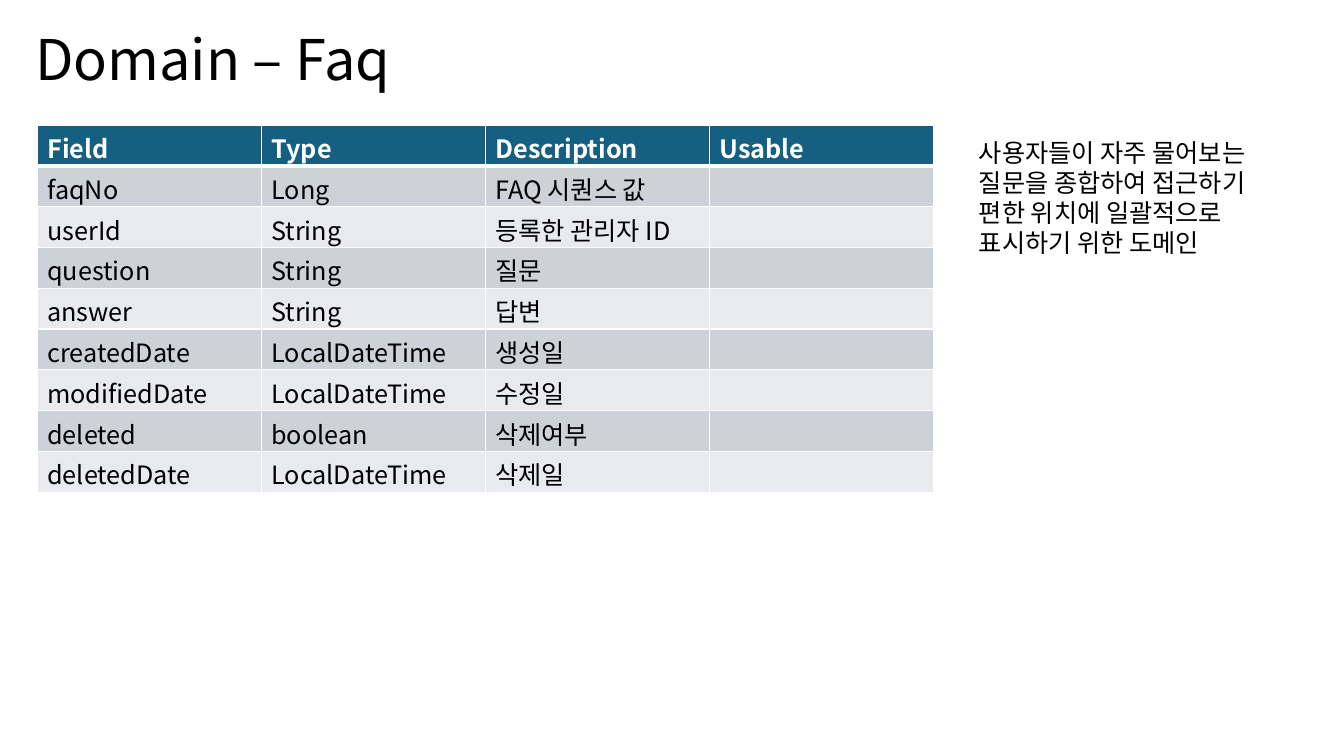
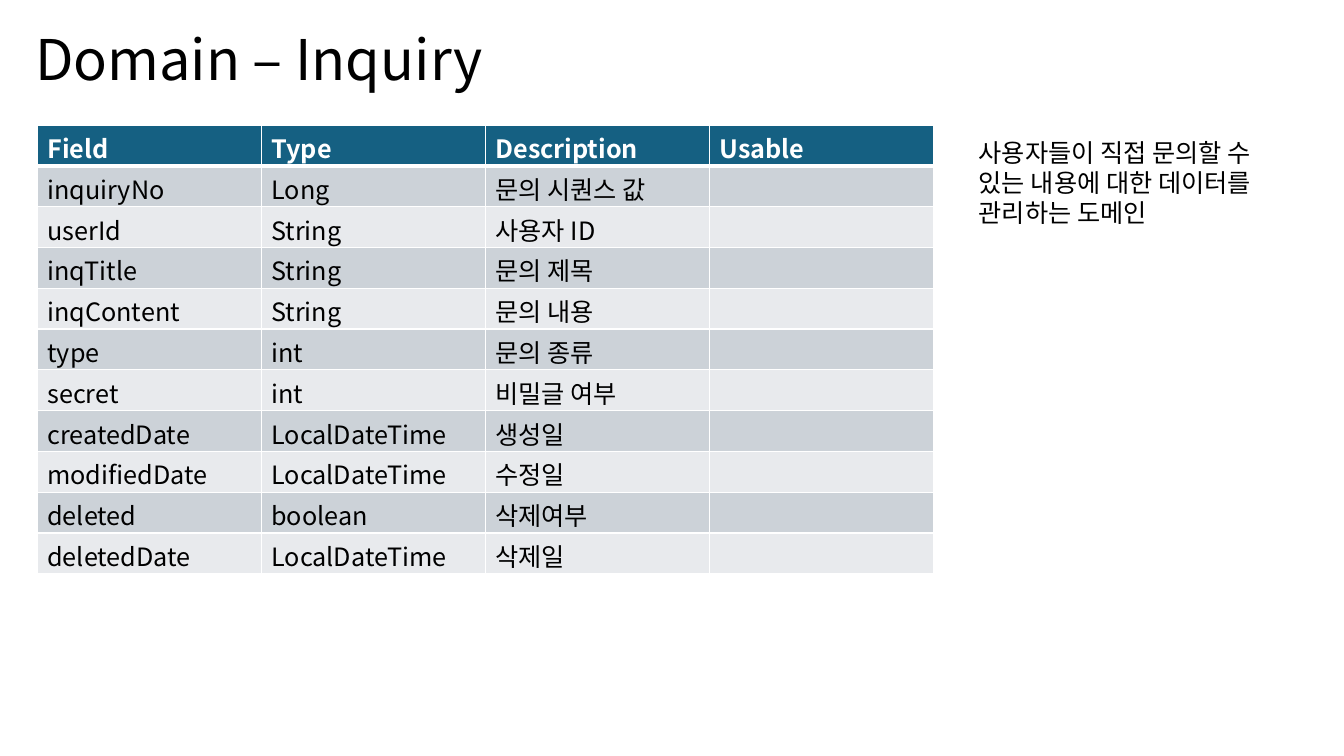
from lxml.etree import SubElement as Sub
from pptx import Presentation
from pptx.dml.color import RGBColor as RGB
from pptx.enum.text import MSO_ANCHOR as Anchor
from pptx.oxml.ns import qn
from pptx.util import Inches, Pt

WHITE = RGB(0xFF, 0xFF, 0xFF)
BLACK = RGB(0, 0, 0)
BLUE = RGB(0x15, 0x60, 0x82)
BANDS = RGB(0xE8, 0xEA, 0xED), RGB(0xCC, 0xD2, 0xD8)
FONT = "Noto Sans CJK KR"
HEAD = ("Field", "Type", "Description", "Usable")
STAMPS = [
    ("createdDate", "LocalDateTime", "생성일", ""),
    ("modifiedDate", "LocalDateTime", "수정일", ""),
    ("deleted", "boolean", "삭제여부", ""),
    ("deletedDate", "LocalDateTime", "삭제일", ""),
]
# title, title width, note width, note lines, own fields
PAGES = [
    ("Domain – Faq", 3.76, 3.25,
     ["사용자들이 자주 물어보는", "질문을 종합하여 접근하기",
      "편한 위치에 일괄적으로", "표시하기 위한 도메인"],
     [("faqNo", "Long", "FAQ 시퀀스 값", ""),
      ("userId", "String", "등록한 관리자 ID", ""),
      ("question", "String", "질문", ""),
      ("answer", "String", "답변", "")]),
    ("Domain – Inquiry", 4.65, 3.34,
     ["사용자들이 직접 문의할 수", "있는 내용에 대한 데이터를",
      "관리하는 도메인"],
     [("inquiryNo", "Long", "문의 시퀀스 값", ""),
      ("userId", "String", "사용자 ID", ""),
      ("inqTitle", "String", "문의 제목", ""),
      ("inqContent", "String", "문의 내용", ""),
      ("type", "int", "문의 종류", ""),
      ("secret", "int", "비밀글 여부", "")]),
]


def write(para, text, size=18, color=BLACK, bold=False):
    """Add one run, with the font set for Latin and Hangul alike."""
    run = para.add_run()
    run.text = text
    font = run.font
    font.name, font.size, font.bold = FONT, Pt(size), bold
    font.color.rgb = color
    Sub(run._r.get_or_add_rPr(), qn("a:ea")).set("typeface", FONT)


def add_text(slide, left, top, width, lines, size):
    """Add a box whose lines are 1.2 times the text size apart."""
    pitch = Pt(size * 1.2)
    box = slide.shapes.add_textbox(
        left, top, width, pitch * len(lines) + Inches(0.1))
    frame = box.text_frame
    frame.word_wrap = False
    for num, line in enumerate(lines):
        para = frame.add_paragraph() if num else frame.paragraphs[0]
        para.line_spacing = pitch
        write(para, line, size)


deck = Presentation()
deck.slide_width, deck.slide_height = Inches(13.33), Inches(7.5)
COL = int(deck.slide_width / 6)
ROW = int(deck.slide_height * 0.054)

for title, wide, span, note, own in PAGES:
    slide = deck.slides.add_slide(deck.slide_layouts[6])
    add_text(slide, Inches(0.25), Inches(0.19), Inches(wide), [title], 40)
    add_text(slide, Inches(9.61), Inches(1.31), Inches(span), note, 18)

    rows = [HEAD] + own + STAMPS
    table = slide.shapes.add_table(
        len(rows), len(HEAD), Inches(0.37), Inches(1.24),
        COL * len(HEAD), ROW * len(rows)).table
    for row, texts in enumerate(rows):
        table.rows[row].height = ROW
        for col, text in enumerate(texts):
            cell = table.cell(row, col)
            cell.margin_top, cell.margin_bottom = Inches(0.03), 0
            cell.vertical_anchor = Anchor.BOTTOM
            if text:
                write(cell.text_frame.paragraphs[0], text,
                      color=BLACK if row else WHITE, bold=row == 0)
            props = cell._tc.get_or_add_tcPr()
            for side in "LRTB":
                thick = (row, side) in ((0, "B"), (1, "T"))
                edge = Sub(props, qn("a:ln" + side), w=str(Pt(3 if thick else 1)))
                fill = Sub(edge, qn("a:solidFill"))
                Sub(fill, qn("a:srgbClr")).set("val", str(WHITE))
            cell.fill.solid()
            cell.fill.fore_color.rgb = BANDS[row % 2] if row else BLUE

deck.save("out.pptx")
